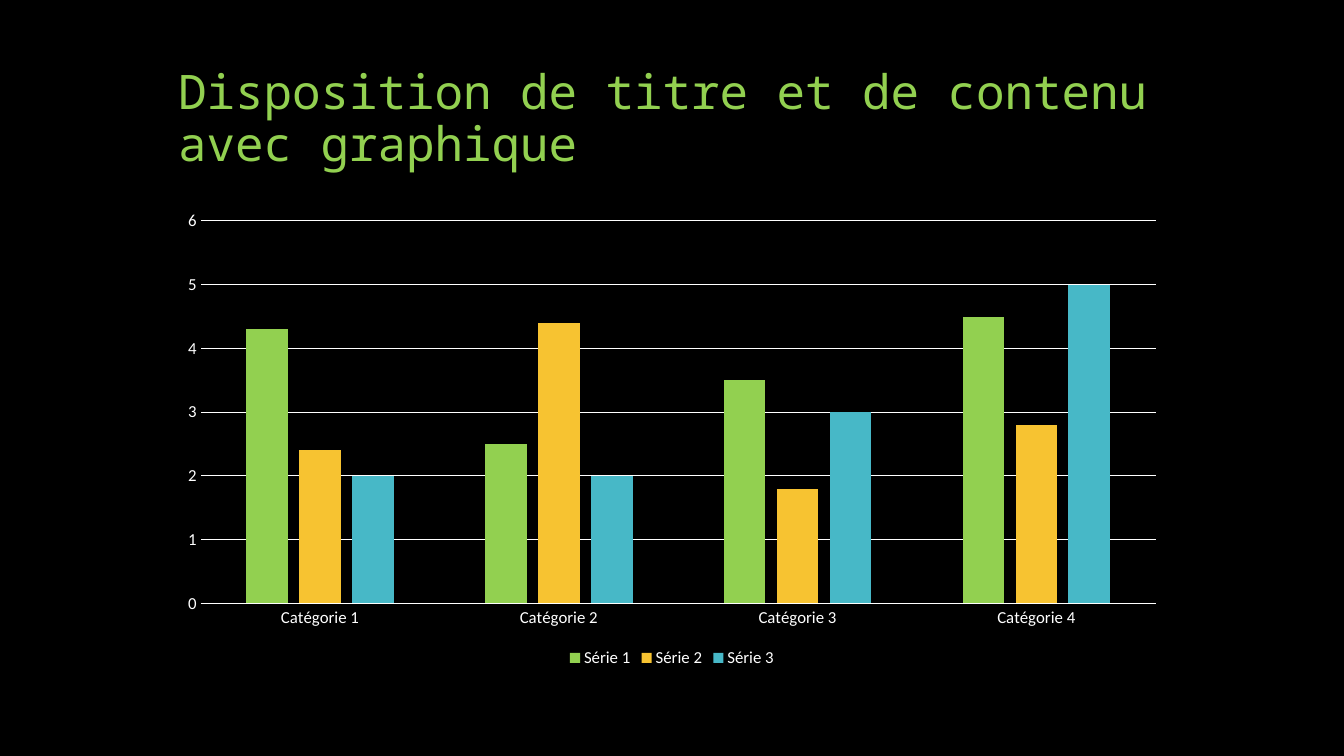
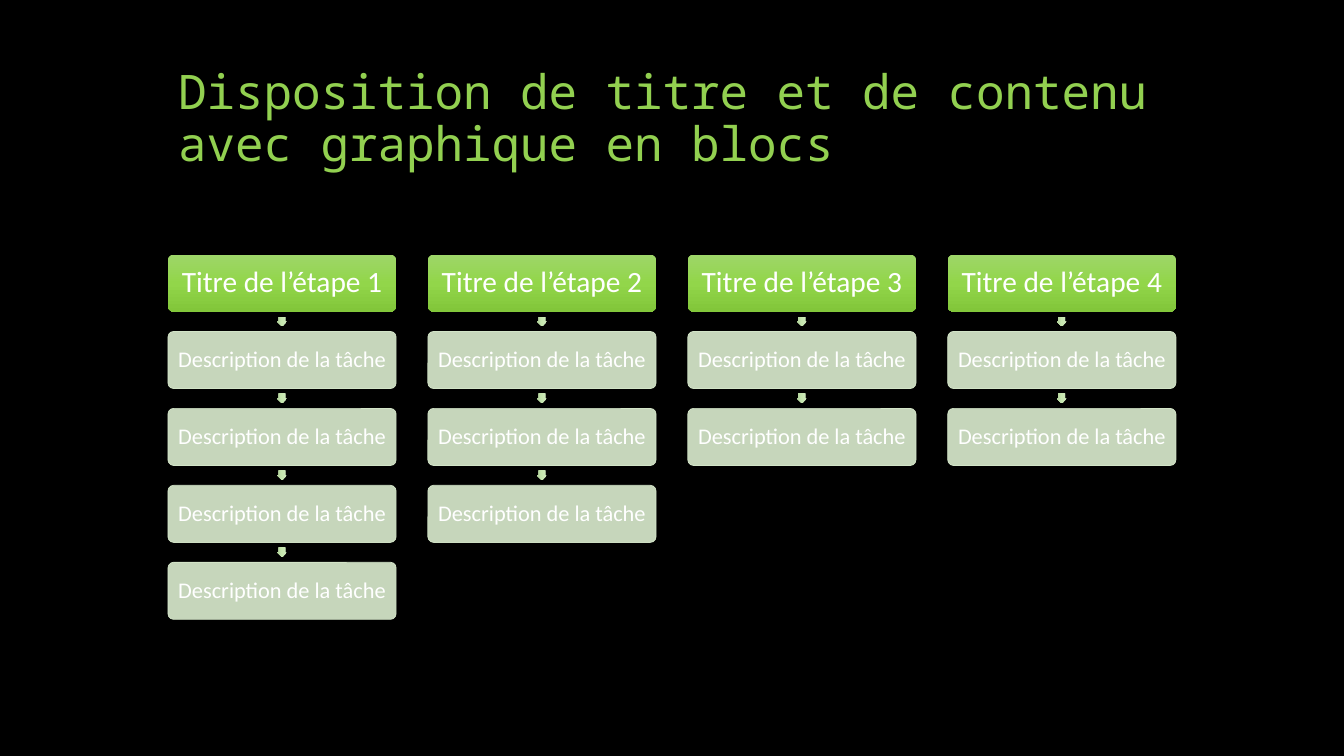
import copy
import dataclasses

import pptx
import pptx.chart.data
import pptx.dml.color
import pptx.enum.chart
import pptx.enum.shapes
import pptx.enum.text
import pptx.oxml
import pptx.oxml.ns
import pptx.util

Pt = pptx.util.Pt
RGB = pptx.dml.color.RGBColor.from_string
qn = pptx.oxml.ns.qn
SHAPE = pptx.enum.shapes.MSO_SHAPE
ALIGN = pptx.enum.text.PP_ALIGN
ANCHOR = pptx.enum.text.MSO_ANCHOR


@dataclasses.dataclass(frozen=True)
class Theme:
    background: str = "000000"
    text: str = "FFFFFF"
    accent: str = "92D050"
    series: tuple = ("92D050", "F7C331", "47B8C7")
    step: tuple = ("9ED669", "92D64A", "82C63A")
    arrow: tuple = ("CFE9BD", "C7E7B0", "B0D199")
    task: str = "DCEED0"
    title_font: str = "Noto Sans Mono"
    body_font: str = "Calibri"
    title_size: float = 34
    step_size: float = 21
    task_size: float = 16
    chart_size: float = 12


theme = Theme()


def write(tf, text, size, font=theme.body_font, color=theme.text,
          align=ALIGN.CENTER, anchor=ANCHOR.MIDDLE, inset=None):
    tf.word_wrap = True
    tf.auto_size = pptx.enum.text.MSO_AUTO_SIZE.NONE
    tf.vertical_anchor = anchor
    if inset is not None:
        tf.margin_left = tf.margin_right = Pt(inset)
        tf.margin_top = tf.margin_bottom = Pt(inset)
    p = tf.paragraphs[0]
    p.alignment = align
    p.line_spacing = 0.9
    r = p.add_run()
    r.text = text
    r.font.size = Pt(size)
    r.font.name = font
    r.font.color.rgb = RGB(color)


def shade(sp, colors):
    sp.shadow.inherit = False
    sp.line.fill.background()
    sp.fill.gradient()
    sp.fill.gradient_angle = 270
    stops = sp._element.spPr.find(".//" + qn("a:gsLst"))
    stops.insert(1, copy.deepcopy(stops[0]))
    for i, (stop, color) in enumerate(zip(sp.fill.gradient_stops, colors)):
        stop.position = i / 2
        stop.color.rgb = RGB(color)


prs = pptx.Presentation()
prs.slide_width, prs.slide_height = Pt(960), Pt(540)
fill = prs.slide_master.background.fill
fill.solid()
fill.fore_color.rgb = RGB(theme.background)

left, width = 120, 720
titles = (
    "Disposition de titre et de contenu avec graphique",
    "Disposition de titre et de contenu avec graphique en blocs",
)
slides = []
for text in titles:
    s = prs.slides.add_slide(prs.slide_layouts[5])
    title = s.shapes.title
    title.left, title.top = Pt(left), Pt(36)
    title.width, title.height = Pt(width), Pt(90)
    write(title.text_frame, text, theme.title_size, font=theme.title_font,
          color=theme.accent, align=ALIGN.LEFT, anchor=ANCHOR.BOTTOM)
    slides.append(s)
chart_slide, steps_slide = slides

data = pptx.chart.data.CategoryChartData()
data.categories = [f"Catégorie {n}" for n in range(1, 5)]
values = ((4.3, 2.5, 3.5, 4.5), (2.4, 4.4, 1.8, 2.8), (2, 2, 3, 5))
for n, row in enumerate(values, 1):
    data.add_series(f"Série {n}", row)
chart = chart_slide.shapes.add_chart(
    pptx.enum.chart.XL_CHART_TYPE.COLUMN_CLUSTERED,
    Pt(left), Pt(144), Pt(width), Pt(336), data).chart
chart.has_title = False
chart.font.size = Pt(theme.chart_size)
chart.font.name = theme.body_font
chart.font.color.rgb = RGB(theme.text)
chart.has_legend = True
chart.legend.position = pptx.enum.chart.XL_LEGEND_POSITION.BOTTOM
chart.legend.include_in_layout = False

plot = chart.plots[0]
plot.gap_width = 219
plot.overlap = -27
plot.vary_by_categories = False
for series, color in zip(plot.series, theme.series):
    series.format.fill.solid()
    series.format.fill.fore_color.rgb = RGB(color)

cat_axis, val_axis = chart.category_axis, chart.value_axis
for axis in (cat_axis, val_axis):
    axis.major_tick_mark = pptx.enum.chart.XL_TICK_MARK.NONE
    axis.minor_tick_mark = pptx.enum.chart.XL_TICK_MARK.NONE
val_axis.minimum_scale, val_axis.maximum_scale = 0, 6
val_axis.major_unit = 1
val_axis.has_major_gridlines = True
val_axis.format.line.fill.background()
for line in (cat_axis.format.line, val_axis.major_gridlines.format.line):
    line.width = Pt(0.75)
    line.color.rgb = RGB(theme.text)

box_w, box_h, arrow_size = 163, 40.8, 7.1
top, row_step = 181.8, 54.95
column_step = (width - box_w) / 3
for column, task_count in enumerate((4, 3, 2, 2)):
    x = left + column * column_step
    for row in range(task_count + 1):
        y = top + row * row_step
        if row:
            gap = row_step - box_h
            arrow = steps_slide.shapes.add_shape(
                SHAPE.RIGHT_ARROW, Pt(x + (box_w - arrow_size) / 2),
                Pt(y - (gap + arrow_size) / 2), Pt(arrow_size), Pt(arrow_size))
            arrow.rotation = 90
            arrow.adjustments[0] = 0.67
            shade(arrow, theme.arrow)
        box = steps_slide.shapes.add_shape(
            SHAPE.ROUNDED_RECTANGLE, Pt(x), Pt(y), Pt(box_w), Pt(box_h))
        box.adjustments[0] = 0.1
        if row == 0:
            shade(box, theme.step)
            write(box.text_frame, f"Titre de l’étape {column + 1}",
                  theme.step_size, inset=3)
            continue
        box.shadow.inherit = False
        box.fill.solid()
        box.fill.fore_color.rgb = RGB(theme.task)
        box.line.color.rgb = RGB(theme.task)
        box.line.width = Pt(0.5)
        for color in box._element.spPr.iter(qn("a:srgbClr")):
            alpha = pptx.oxml.parse_xml(
                f'<a:alpha {pptx.oxml.ns.nsdecls("a")} val="90000"/>')
            color.append(alpha)
        write(box.text_frame, "Description de la tâche",
              theme.task_size, inset=2.5)

prs.save("out.pptx")
